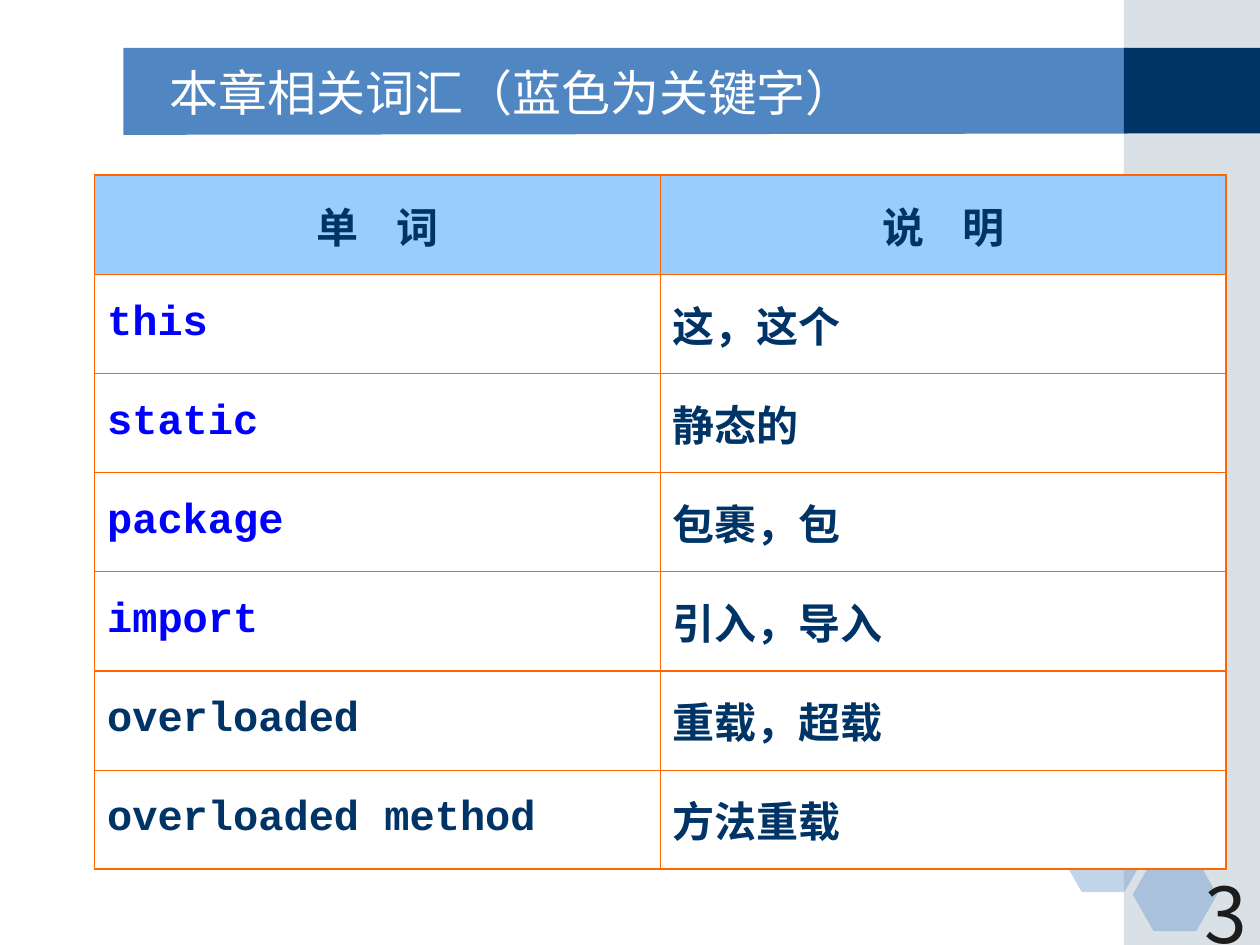
from lxml.etree import SubElement
from pptx import Presentation
from pptx.dml.color import RGBColor
from pptx.enum.shapes import MSO_SHAPE
from pptx.enum.text import MSO_ANCHOR, PP_ALIGN
from pptx.oxml.ns import qn
from pptx.util import Inches, Pt

CJK = "Noto Sans CJK SC"


def paint(s, color, alpha=100):
    """Fill a shape without outline; alpha is its opacity in percent."""
    s.shadow.inherit = False
    s.line.fill.background()
    s.fill.solid()
    s.fill.fore_color.rgb = RGBColor.from_string(color)
    if alpha < 100:
        clr = s.fill._xPr.find(qn("a:solidFill"))[0]
        SubElement(clr, qn("a:alpha"), val=str(alpha * 1000))


def write(tf, text, size, font, color, align=PP_ALIGN.LEFT):
    tf.text = text
    p = tf.paragraphs[0]
    p.alignment = align
    r = p.runs[0]
    r.font.size = Pt(size)
    r.font.name = font
    r.font.color.rgb = RGBColor.from_string(color)
    SubElement(r.font._element, qn("a:ea"), typeface=CJK)
    return p


prs = Presentation()
prs.slide_width, prs.slide_height = Inches(10), Inches(7.5)
slide = prs.slides.add_slide(prs.slide_layouts[6])
shapes = slide.shapes

# Title band and right-hand column
fb = shapes.build_freeform(Inches(0.98), Inches(0.38))
corners = [(8.95, 0.38), (8.95, 1.06), (0.98, 1.07)]
fb.add_line_segments([(Inches(x), Inches(y)) for x, y in corners], close=True)
paint(fb.convert_to_shape(), "5086C2")

for top, height, color, alpha in [(0, 7.5, "A0B5C4", 40), (0.38, 0.68, "003366", 100)]:
    s = shapes.add_shape(MSO_SHAPE.RECTANGLE, Inches(8.92), Inches(top),
                         Inches(1.08), Inches(height))
    paint(s, color, alpha)

for left, top in [(8.42, 6.5), (9, 6.17), (8.99, 6.81)]:
    s = shapes.add_shape(MSO_SHAPE.HEXAGON, Inches(left), Inches(top),
                         Inches(0.67), Inches(0.58))
    s.adjustments[0] = 0.286
    paint(s, "5086C2", 35)

# Title and page number
sp = shapes.add_textbox(Inches(1.25), Inches(0.42), Inches(7.33), Inches(0.62))
sp.text_frame.word_wrap = True
sp.text_frame.vertical_anchor = MSO_ANCHOR.MIDDLE
write(sp.text_frame, "本章相关词汇（蓝色为关键字）", 28, "DejaVu Sans", "FFFFFF")

sp = shapes.add_textbox(Inches(7.92), Inches(6.83), Inches(2.08), Inches(0.5))
sp.text_frame.word_wrap = True
write(sp.text_frame, "3", 44, CJK, "1C1C1C", PP_ALIGN.RIGHT)

# Vocabulary table
words = [
    ("单    词", "说    明"),
    ("this", "这，这个"),
    ("static", "静态的"),
    ("package", "包裹，包"),
    ("import", "引入，导入"),
    ("overloaded", "重载，超载"),
    ("overloaded method", "方法重载"),
]
keywords = {"this", "static", "package", "import"}
last_row, last_col = len(words) - 1, 1
table = shapes.add_table(len(words), 2, Inches(0.75), Inches(1.39),
                         Inches(8.98), Inches(5.51)).table

for i, row in enumerate(words):
    table.rows[i].height = Inches(5.51 / len(words))
    for j, text in enumerate(row):
        cell = table.cell(i, j)
        cell.vertical_anchor = MSO_ANCHOR.MIDDLE
        p = write(cell.text_frame, text, 24, "Courier New",
                  "0000FF" if text in keywords else "003366",
                  PP_ALIGN.CENTER if i == 0 else PP_ALIGN.LEFT)
        p.space_before = Pt(6)
        p.runs[0].font.bold = True

        # Borders come before the fill in the cell properties
        outer = {"L": j == 0, "R": j == last_col, "T": i == 0, "B": i == last_row}
        for side, is_outer in outer.items():
            ln = SubElement(cell._tc.get_or_add_tcPr(), qn(f"a:ln{side}"),
                            w=str(Pt(1.08 if is_outer else 0.75)))
            SubElement(SubElement(ln, qn("a:solidFill")), qn("a:srgbClr"), val="FF6600")
        cell.fill.solid()
        cell.fill.fore_color.rgb = RGBColor.from_string("99CCFF" if i == 0 else "FFFFFF")

prs.save("out.pptx")
